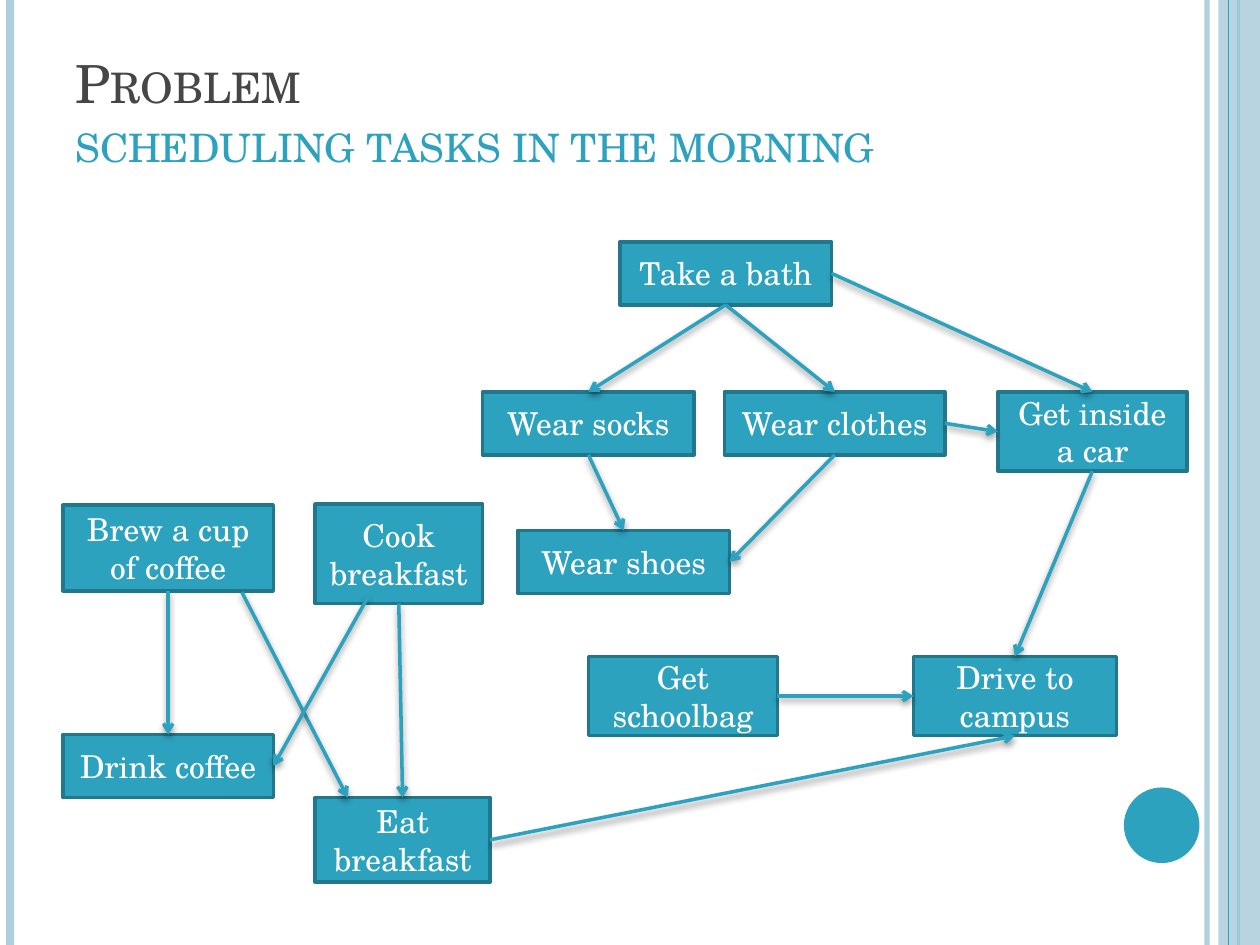
from lxml.etree import SubElement
from pptx import Presentation
from pptx.dml.color import RGBColor
from pptx.enum.shapes import MSO_CONNECTOR, MSO_SHAPE
from pptx.enum.text import MSO_ANCHOR, MSO_AUTO_SIZE, PP_ALIGN
from pptx.oxml import parse_xml
from pptx.oxml.ns import nsdecls, qn
from pptx.util import Inches, Pt

TOP, LEFT, BOTTOM, RIGHT = range(4)
SHADOW = (
    f'<a:effectLst {nsdecls("a")}>'
    '<a:outerShdw blurRad="50800" dist="25400" dir="5400000" rotWithShape="0">'
    '<a:srgbClr val="000000"><a:alpha val="40000"/></a:srgbClr>'
    '</a:outerShdw></a:effectLst>'
)


def color(value):
    return RGBColor.from_string(value)


def set_alpha(fill_owner, percent):
    """Make the solid fill inside an XML element partly transparent."""
    color_element = next(fill_owner.iter(qn("a:srgbClr")))
    SubElement(color_element, qn("a:alpha")).set("val", str(percent * 1000))


class SlideBuilder:
    font = "TeX Gyre Schola"
    accent = "2DA2BF"
    border = "21788D"
    pale = "ADCEDC"
    dark = "464646"

    def __init__(self, slide):
        self.slide = slide

    def add_run(self, paragraph, text, size, hex_color, small_caps=False):
        run = paragraph.add_run()
        run.text = text
        run.font.name = self.font
        run.font.size = Pt(size)
        run.font.color.rgb = color(hex_color)
        if small_caps:
            run._r.get_or_add_rPr().set("cap", "small")

    def title(self, heading, subheading):
        shape = self.slide.shapes.title
        shape.left, shape.top = Inches(0.5), Inches(0.3)
        shape.width, shape.height = Inches(8.17), Inches(1.12)
        frame = shape.text_frame
        frame.auto_size = MSO_AUTO_SIZE.NONE
        frame.vertical_anchor = MSO_ANCHOR.BOTTOM
        paragraph = frame.paragraphs[0]
        paragraph.alignment = PP_ALIGN.LEFT
        self.add_run(paragraph, heading, 30, self.dark, small_caps=True)
        paragraph.add_line_break()
        self.add_run(paragraph, subheading, 28, self.accent, small_caps=True)

    def shape(self, kind, left, top, width, height, fill):
        shape = self.slide.shapes.add_shape(
            kind, Inches(left), Inches(top), Inches(width), Inches(height))
        shape.shadow.inherit = False
        shape.fill.solid()
        shape.fill.fore_color.rgb = color(fill)
        shape.line.fill.background()
        return shape

    def task(self, text, left, top, width, height):
        shape = self.shape(MSO_SHAPE.RECTANGLE, left, top, width, height, self.accent)
        shape.line.color.rgb = color(self.border)
        shape.line.width = Pt(2)
        frame = shape.text_frame
        frame.word_wrap = True
        frame.vertical_anchor = MSO_ANCHOR.MIDDLE
        paragraph = frame.paragraphs[0]
        paragraph.alignment = PP_ALIGN.CENTER
        self.add_run(paragraph, text, 18, "FFFFFF")
        return shape

    def line(self, start, end, hex_color, width):
        connector = self.slide.shapes.add_connector(
            MSO_CONNECTOR.STRAIGHT, *(Inches(value) for value in start + end))
        connector.line.color.rgb = color(hex_color)
        connector.line.width = Pt(width)
        return connector

    def rule(self, x, hex_color, width):
        connector = self.line((x, 0), (x, 7.5), hex_color, width)
        SubElement(connector._element.spPr, qn("a:effectLst"))
        return connector

    def arrow(self, start=(0, 0), end=(0, 0), source=None, target=None):
        """Join (shape, side) pairs, or use free points where none is given."""
        connector = self.line(start, end, self.accent, 2)
        if source:
            connector.begin_connect(*source)
        if target:
            connector.end_connect(*target)
        SubElement(connector.line._get_or_add_ln(), qn("a:tailEnd")).set("type", "arrow")
        connector._element.spPr.append(parse_xml(SHADOW))


def main():
    presentation = Presentation()
    presentation.slide_width, presentation.slide_height = Inches(10), Inches(7.5)
    slide = presentation.slides.add_slide(presentation.slide_layouts[5])
    builder = SlideBuilder(slide)

    # Side decoration
    inner_rule = builder.rule(9.58, builder.pale, 3)
    set_alpha(inner_rule._element.spPr, 93)
    builder.rule(0.08, builder.pale, 4.5)
    builder.rule(9.83, builder.accent, 1.5)
    band = builder.shape(MSO_SHAPE.RECTANGLE, 9.67, 0, 0.33, 7.5, builder.pale)
    set_alpha(band._element.spPr, 87)
    builder.rule(9.75, builder.accent, 0.75)
    builder.shape(MSO_SHAPE.OVAL, 8.92, 6.25, 0.6, 0.6, builder.accent)

    builder.title("Problem", "scheduling tasks in the morning")

    # Tasks
    socks = builder.task("Wear socks", 3.83, 3.11, 1.68, 0.5)
    shoes = builder.task("Wear shoes", 4.11, 4.21, 1.68, 0.5)
    bath = builder.task("Take a bath", 4.92, 1.92, 1.68, 0.5)
    clothes = builder.task("Wear clothes", 5.75, 3.11, 1.75, 0.5)
    eat = builder.task("Eat breakfast", 2.5, 6.33, 1.39, 0.67)
    cook = builder.task("Cook breakfast", 2.5, 4, 1.33, 0.79)
    car = builder.task("Get inside a car", 7.92, 3.11, 1.5, 0.63)
    drive = builder.task("Drive to campus", 7.25, 5.21, 1.61, 0.63)
    schoolbag = builder.task("Get schoolbag", 4.67, 5.21, 1.5, 0.63)
    brew = builder.task("Brew a cup of coffee", 0.5, 4.01, 1.67, 0.68)
    drink = builder.task("Drink coffee", 0.5, 5.83, 1.67, 0.5)

    # Dependencies between the middles of sides
    dependencies = [
        (clothes, RIGHT, car, LEFT),
        (bath, BOTTOM, clothes, TOP),
        (bath, BOTTOM, socks, TOP),
        (socks, BOTTOM, shoes, TOP),
        (cook, BOTTOM, eat, TOP),
        (bath, RIGHT, car, TOP),
        (car, BOTTOM, drive, TOP),
        (clothes, BOTTOM, shoes, RIGHT),
        (brew, BOTTOM, drink, TOP),
        (schoolbag, RIGHT, drive, LEFT),
        (eat, RIGHT, drive, BOTTOM),
    ]
    for source, source_side, target, target_side in dependencies:
        builder.arrow(source=(source, source_side), target=(target, target_side))

    # Crossing dependencies that leave from other points
    builder.arrow(start=(1.92, 4.7), end=(2.76, 6.33))
    builder.arrow(start=(2.92, 4.74), target=(drink, RIGHT))

    presentation.save("out.pptx")


if __name__ == "__main__":
    main()
